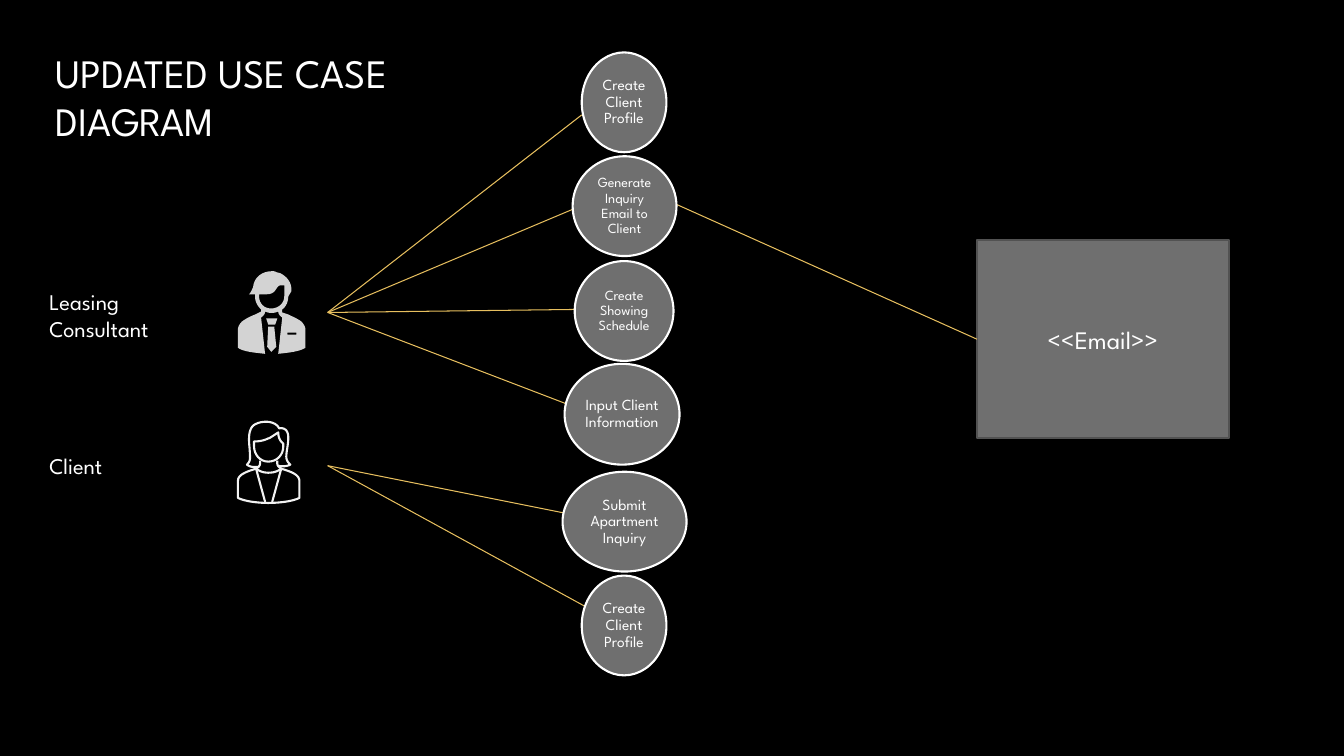
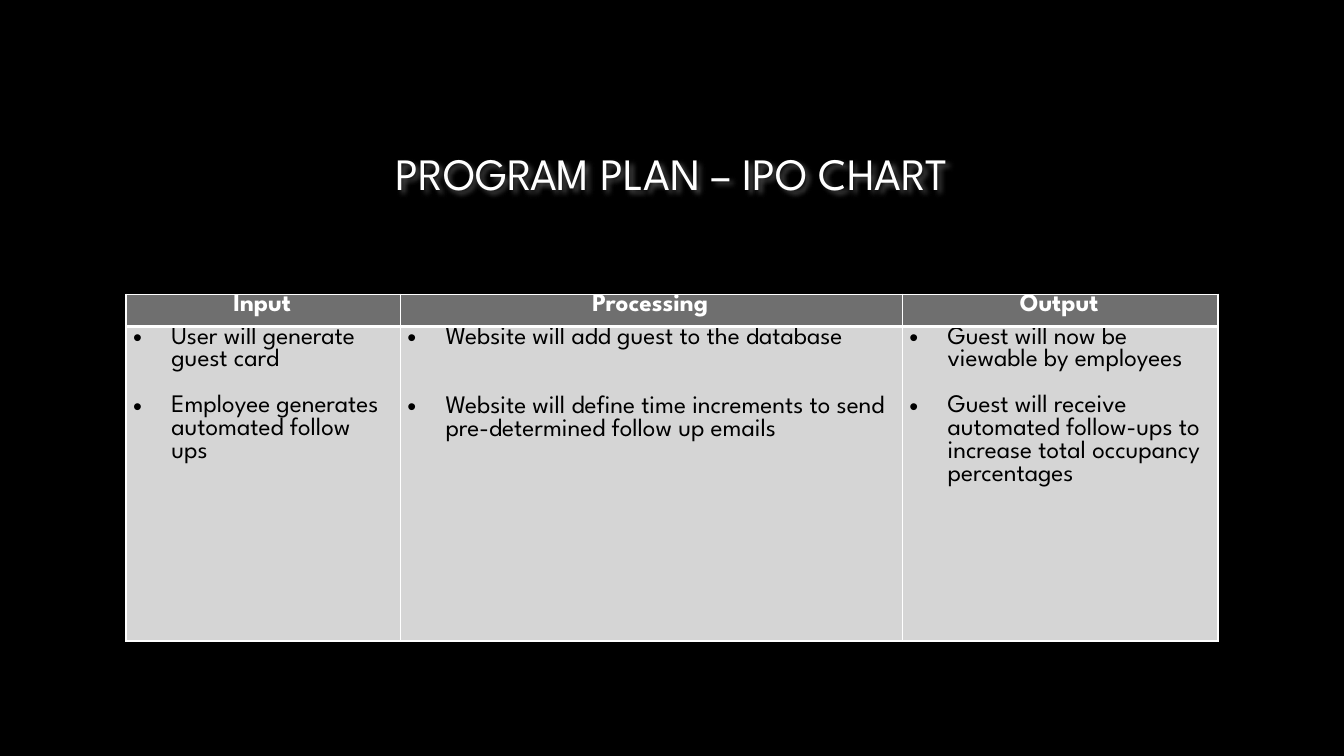
from dataclasses import dataclass
from typing import Optional

from lxml import etree
from pptx import Presentation
from pptx import util as u
from pptx.dml.color import RGBColor
from pptx.enum import shapes, text
from pptx.oxml import ns

PX = 9144  # EMU per px, 100 px to the inch


@dataclass(frozen=True)
class Theme:
    font: str = "League Spartan"
    bg: str = "000000"
    white: str = "FFFFFF"
    ink: str = "000000"
    panel: str = "6F6F6F"
    panel_edge: str = "525252"
    cell: str = "D5D5D5"
    wire: str = "E7BF5F"
    consultant: str = "D3D3D3"
    client: str = "F2F2F2"
    title: float = 32
    title_small: float = 28.8
    large: float = 18
    label: float = 16
    case: float = 11
    case_small: float = 10
    cell_line: float = 16.6


T = Theme()


@dataclass(frozen=True)
class Box:
    x: int
    y: int
    w: int
    h: int

    def emu(self) -> tuple:
        return tuple(u.Emu(v * PX) for v in (self.x, self.y, self.w, self.h))


@dataclass(frozen=True)
class UseCase:
    name: str
    box: Box
    size: float = T.case


@dataclass(frozen=True)
class Wire:
    start: tuple
    end: tuple


@dataclass(frozen=True)
class Column:
    head: str
    width: int
    items: str
    blank_lines: int = 1


# Content
USE_CASES = [
    UseCase("Create Client Profile", Box(577, 52, 84, 99)),
    UseCase("Generate Inquiry Email to Client", Box(568, 155, 103, 99), T.case_small),
    UseCase("Create Showing Schedule", Box(570, 259, 98, 99), T.case_small),
    UseCase("Input Client Information", Box(560, 361, 114, 100)),
    UseCase("Submit Apartment Inquiry", Box(558, 468, 123, 99)),
    UseCase("Create Client Profile", Box(577, 571, 84, 99)),
]
CONSULTANT_AT, CLIENT_AT = (325, 310), (325, 462)
WIRES = [
    Wire(CONSULTANT_AT, (577, 114)),
    Wire(CONSULTANT_AT, (572, 206)),
    Wire(CONSULTANT_AT, (572, 307)),
    Wire(CONSULTANT_AT, (581, 408)),
    Wire(CLIENT_AT, (565, 510)),
    Wire(CLIENT_AT, (581, 602)),
]
COLUMNS = [
    Column("Input", 272,
           "User will generate guest card\nEmployee generates automated follow ups"),
    Column("Processing", 498,
           "Website will add guest to the database\n"
           "Website will define time increments to send pre-determined follow up emails", 2),
    Column("Output", 313,
           "Guest will now be viewable by employees\n"
           "Guest will receive automated follow-ups to increase total occupancy percentages"),
]

# Icon outlines in px: M move, L line, C cubic curve, Z close
CONSULTANT_BODY = """
M 303 327 C 303 324 301 321 299 319 C 295 316 290 314 286 312 L 280 310 L 280 307
C 284 304 286 299 286 294 L 289 289 C 290 280 284 274 278 271 L 274 270
C 273 269 271 269 270 269 C 260 269 252 275 251 285 C 250 287 249 290 247 292
L 253 292 L 253 294 C 253 299 255 303 259 307 L 259 309 L 253 312
C 248 314 244 316 240 319 C 238 321 236 324 236 327 L 236 345
C 241 349 254 350 263 351 L 259 315 C 262 313 263 311 263 309
C 267 311 272 311 276 309 C 276 311 277 313 280 315 L 276 351
C 285 350 297 349 303 345 Z
M 257 294 L 257 292 L 264 292 C 275 292 273 284 278 283 L 282 283 L 282 294
C 282 301 276 306 269 306 C 262 306 257 301 257 294 Z
M 294 332 L 285 332 L 285 330 L 294 330 Z
"""
TIE_KNOT = "M 266 322 L 273 322 L 275 316 L 264 316 Z"
TIE = "M 266 324 L 265 344 L 269 349 L 274 344 L 272 324 Z"
CLIENT_ICON = """
M 236 494 L 236 477 C 236 471 244 468 254 465 C 258 468 262 469 266 469
C 271 469 275 468 279 465 C 289 468 297 471 297 477 L 297 494
C 291 497 279 499 266 499 C 254 499 242 497 236 494 Z
M 254 465 L 263 498 M 279 465 L 270 498
M 258 457 L 258 459 C 258 462 257 463 254 465
M 275 457 L 275 459 C 275 462 276 463 279 465
M 257 463 C 252 464 247 463 245 461 C 247 459 248 457 248 454
C 248 447 247 441 247 436 C 247 428 249 423 253 421 C 260 417 273 417 277 425
C 281 424 286 426 286 434 C 286 441 284 448 284 453 C 284 457 286 459 288 461
C 284 463 279 463 276 462
M 252 438 L 252 443 C 252 451 258 458 266 458 C 275 458 281 451 281 443 L 281 440
C 278 438 276 434 276 429 C 270 433 267 435 266 435 C 262 437 257 438 252 438 Z
"""


def rgb(color: str) -> RGBColor:
    return RGBColor.from_string(color)


def sub(parent, tag: str, **attrs):
    return etree.SubElement(parent, ns.qn(tag), attrs)


# Text
def write(tf, content: str, *, size: float, color: str = T.white, bold: bool = False,
          align=text.PP_ALIGN.LEFT, spacing: Optional[float] = None, gap: float = 0,
          bullet: bool = False) -> None:
    """Write one paragraph per line of content, with gap points between them."""
    for i, line in enumerate(content.split("\n")):
        p = tf.add_paragraph() if i else tf.paragraphs[0]
        p.alignment, p.line_spacing = align, spacing
        p.space_before = u.Pt(gap if i else 0)
        r = p.add_run()
        r.text = line
        f = r.font
        f.size, f.bold, f.name = u.Pt(size), bold, T.font
        f.color.rgb = rgb(color)
        if bullet:
            ppr = p._p.get_or_add_pPr()
            ppr.set("marL", str(38 * PX))
            ppr.set("indent", str(-38 * PX))
            sub(ppr, "a:buFont", typeface="Arial")
            sub(ppr, "a:buChar", char="•")


def set_title(s, content: str, box: Box, shadow: bool = False, **fmt) -> None:
    sp = s.shapes.title
    sp.left, sp.top, sp.width, sp.height = box.emu()
    tf = sp.text_frame
    tf.word_wrap, tf.auto_size = True, text.MSO_AUTO_SIZE.NONE
    tf.vertical_anchor = text.MSO_ANCHOR.MIDDLE
    write(tf, content, **fmt)
    if shadow:
        effects = sub(sp._element.spPr, "a:effectLst")
        shade = sub(effects, "a:outerShdw", blurRad="38100", dist="25400", dir="2700000")
        sub(sub(shade, "a:srgbClr", val=T.white), "a:alpha", val="30000")


def add_label(s, content: str, box: Box) -> None:
    tf = s.shapes.add_textbox(*box.emu()).text_frame
    tf.word_wrap = True
    write(tf, content, size=T.label)


# Shapes
def add_panel(s, kind, box: Box, content: str, edge: str, inset: int = 10, **fmt):
    sp = s.shapes.add_shape(kind, *box.emu())
    sp.shadow.inherit = False
    sp.fill.solid()
    sp.fill.fore_color.rgb = rgb(T.panel)
    sp.line.color.rgb, sp.line.width = rgb(edge), u.Pt(1.5)
    tf = sp.text_frame
    tf.word_wrap, tf.vertical_anchor = True, text.MSO_ANCHOR.MIDDLE
    tf.margin_left = tf.margin_right = tf.margin_top = tf.margin_bottom = inset * PX
    write(tf, content, align=text.PP_ALIGN.CENTER, **fmt)
    return sp


def add_wire(s, wire: Wire):
    ends = [u.Emu(v * PX) for v in (*wire.start, *wire.end)]
    line = s.shapes.add_connector(shapes.MSO_CONNECTOR.STRAIGHT, *ends)
    line.line.color.rgb, line.line.width = rgb(T.wire), u.Pt(0.75)
    sub(line._element.spPr, "a:effectLst")
    return line


def curve(points: list, steps: int = 8) -> list:
    """Points along a cubic curve, after its start."""
    result = []
    for i in range(1, steps + 1):
        t = i / steps
        weights = ((1 - t) ** 3, 3 * t * (1 - t) ** 2, 3 * t * t * (1 - t), t ** 3)
        result.append(tuple(sum(w * p[k] for w, p in zip(weights, points)) for k in (0, 1)))
    return result


def contours(outline: str) -> list:
    """Turn an outline into lists of points."""
    tokens = iter(outline.split())
    result = []

    def point() -> tuple:
        return int(next(tokens)) * PX, int(next(tokens)) * PX

    for command in tokens:
        if command == "M":
            result.append([point()])
        elif command == "L":
            result[-1].append(point())
        elif command == "C":
            result[-1] += curve([result[-1][-1], point(), point(), point()])
        else:
            result[-1].append(result[-1][0])
    return result


def add_icon(s, outline: str, color: str, filled: bool) -> None:
    first, *others = contours(outline)
    builder = s.shapes.build_freeform(*first[0])
    builder.add_line_segments(first[1:], close=filled)
    for points in others:
        builder.move_to(*points[0])
        builder.add_line_segments(points[1:], close=filled)
    sp = builder.convert_to_shape()
    sp.shadow.inherit = False
    if filled:
        sp.fill.solid()
        sp.fill.fore_color.rgb = rgb(color)
        sp.line.fill.background()
    else:
        sp.fill.background()
        sp.line.color.rgb, sp.line.width = rgb(color), u.Pt(1.5)


# Table
def format_cell(cell, fill: str, top: float, bottom: float) -> None:
    tcpr = cell._tc.get_or_add_tcPr()
    for side, width in (("L", 1), ("R", 1), ("T", top), ("B", bottom)):
        ln = sub(tcpr, f"a:ln{side}", w=str(u.Pt(width)))
        sub(sub(ln, "a:solidFill"), "a:srgbClr", val=T.white)
    cell.fill.solid()
    cell.fill.fore_color.rgb = rgb(fill)
    cell.margin_left, cell.margin_right = 7 * PX, 9 * PX
    cell.margin_top = cell.margin_bottom = 0


def add_plan(s, box: Box, columns: list, heights: tuple) -> None:
    table = s.shapes.add_table(len(heights), len(columns), *box.emu()).table
    for row, height in zip(table.rows, heights):
        row.height = u.Emu(height * PX)
    for i, column in enumerate(columns):
        table.columns[i].width = u.Emu(column.width * PX)
        head, body = table.cell(0, i), table.cell(1, i)
        format_cell(head, T.panel, 1, 3)
        format_cell(body, T.cell, 3, 1)
        write(head.text_frame, column.head, size=T.large, bold=True,
              align=text.PP_ALIGN.CENTER, spacing=0.9)
        write(body.text_frame, column.items, size=T.large, color=T.ink, bullet=True,
              spacing=0.98, gap=column.blank_lines * T.cell_line)


# Slides
def use_case_slide(s) -> None:
    set_title(s, "UPDATED USE CASE DIAGRAM", Box(45, 40, 470, 111), size=T.title_small)
    email = add_panel(s, shapes.MSO_SHAPE.RECTANGLE, Box(969, 238, 250, 197), "<<Email>>",
                      T.panel_edge, size=T.large)
    add_wire(s, Wire((667, 201), (969, 336))).end_connect(email, 1)
    for wire in WIRES:
        add_wire(s, wire)
    for case in USE_CASES:
        add_panel(s, shapes.MSO_SHAPE.OVAL, case.box, case.name, T.white, inset=3,
                  size=case.size, spacing=0.9)
    add_label(s, "Leasing Consultant", Box(39, 281, 151, 64))
    add_label(s, "Client", Box(39, 444, 151, 37))
    for outline in (CONSULTANT_BODY, TIE_KNOT, TIE):
        add_icon(s, outline, T.consultant, filled=True)
    add_icon(s, CLIENT_ICON, T.client, filled=False)


def plan_slide(s) -> None:
    set_title(s, "PROGRAM PLAN – IPO CHART", Box(125, 67, 1083, 208), size=T.title,
              align=text.PP_ALIGN.CENTER, shadow=True)
    add_plan(s, Box(125, 292, 1083, 344), COLUMNS, (32, 312))


def main() -> None:
    prs = Presentation()
    prs.slide_width, prs.slide_height = u.Emu(1333 * PX), u.Emu(750 * PX)
    background = prs.slide_master.background.fill
    background.solid()
    background.fore_color.rgb = rgb(T.bg)
    title_only = prs.slide_layouts.get_by_name("Title Only")
    for build in (use_case_slide, plan_slide):
        build(prs.slides.add_slide(title_only))
    prs.save("out.pptx")


if __name__ == "__main__":
    main()
